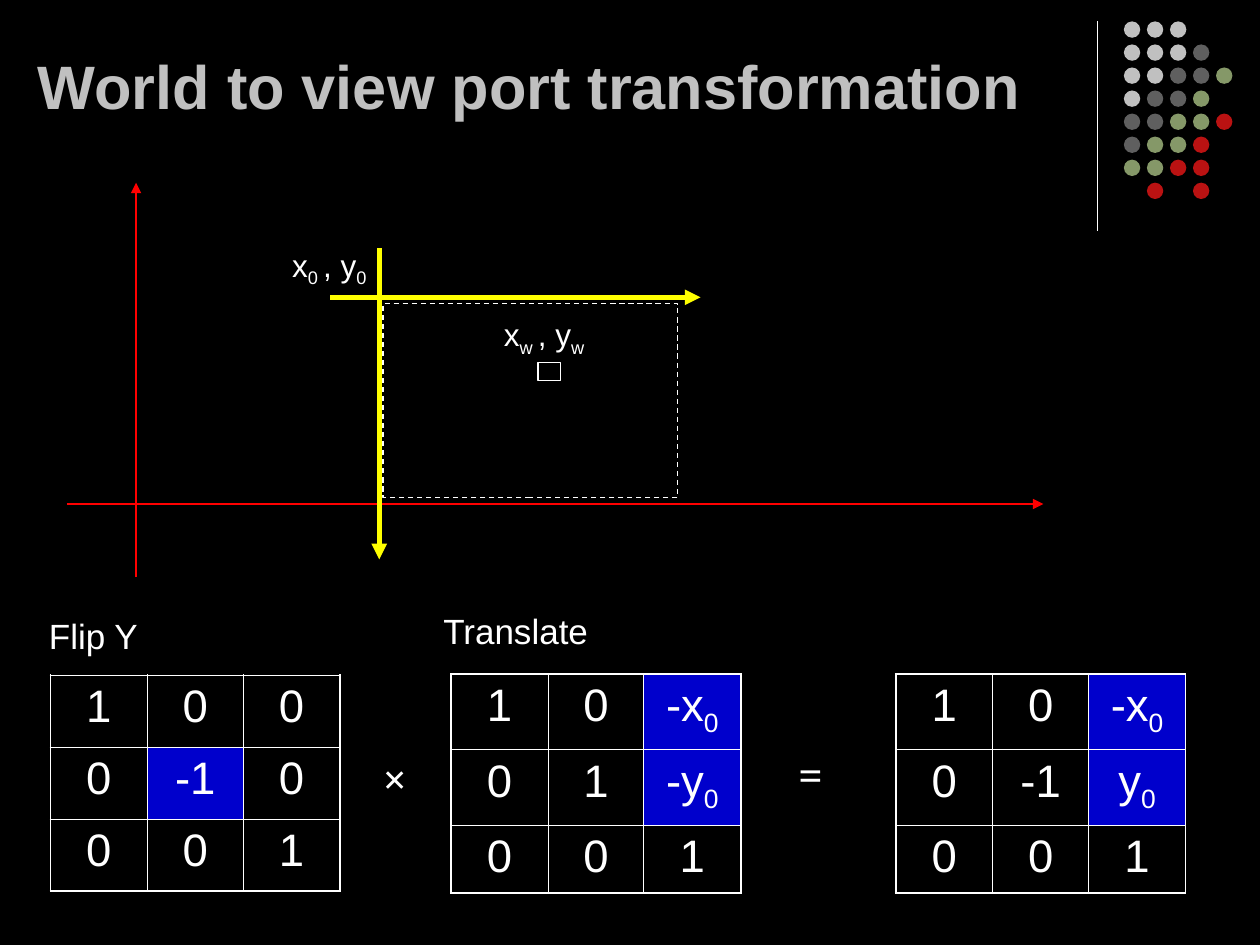
from dataclasses import dataclass

from lxml.etree import SubElement
from pptx import Presentation
from pptx.dml.color import RGBColor
from pptx.enum.dml import MSO_LINE
from pptx.enum.shapes import MSO_CONNECTOR, MSO_SHAPE
from pptx.enum.text import MSO_ANCHOR, MSO_AUTO_SIZE, PP_ALIGN
from pptx.oxml.ns import qn
from pptx.util import Inches, Pt

BLACK = RGBColor(0x00, 0x00, 0x00)
WHITE = RGBColor(0xFF, 0xFF, 0xFF)
SILVER = RGBColor(0xC0, 0xC0, 0xC0)
GRAY = RGBColor(0x5F, 0x5F, 0x5F)
GREEN = RGBColor(0x85, 0x98, 0x68)
DARK_RED = RGBColor(0xBA, 0x12, 0x12)
RED = RGBColor(0xFF, 0x00, 0x00)
YELLOW = RGBColor(0xFF, 0xFF, 0x00)
BLUE = RGBColor(0x00, 0x00, 0xCC)

DOT_COLORS = {"S": SILVER, "G": GRAY, "V": GREEN, "R": DARK_RED}
DOT_ROWS = ["SSS", "SSSG", "SSGGV", "SGGV", "GGVVR", "GVVR", "VVRR", " R R"]
DOT_LEFT, DOT_TOP, DOT_SIZE = 8.92, 0.17, 0.13
DOT_PITCH = 1.28 / 7

COL_WIDTHS = (0.77, 0.76, 0.77)
OUTER, INNER = 1.08, 0.45  # border widths in points


@dataclass
class Line:
    start: tuple[float, float]
    end: tuple[float, float]
    color: RGBColor
    width: float = 0.75
    arrow: bool = True


@dataclass
class Label:
    box: tuple[float, float, float, float]
    text: str
    size: float
    font: str = "Arial"
    bold: bool = False


@dataclass
class Matrix:
    left: float
    top: float
    row_heights: tuple[float, ...]
    rows: list[list[str]]
    marked: set[tuple[int, int]]


LINES = [
    Line((8.71, 0.17), (8.71, 1.83), WHITE, arrow=False),
    Line((1.08, 4.58), (1.08, 1.45), RED),
    Line((0.53, 4), (8.28, 4), RED),
    Line((3.01, 1.97), (3.01, 4.44), YELLOW, 3),
    Line((2.62, 2.36), (5.56, 2.36), YELLOW, 3),
]

# A bar switches between normal text and subscript.
LABELS = [
    Label((2.22, 1.9, 1.12, 0.44), "x|0 |, y|0", 18),
    Label((3.9, 2.45, 1.12, 0.44), "x|w |, y|w", 18),
    Label((3.42, 4.79, 3.07, 0.44), "Translate", 20),
    Label((0.29, 4.83, 2.34, 0.44), "Flip Y", 20),
    Label((2.94, 5.92, 0.45, 0.5), "×", 24, "Times New Roman", True),
    Label((6.24, 5.89, 0.45, 0.5), "=", 24, "Times New Roman", True),
]

MATRICES = [
    Matrix(0.4, 5.36, (0.57, 0.57, 0.57),
           [["1", "0", "0"], ["0", "-1", "0"], ["0", "0", "1"]], {(1, 1)}),
    Matrix(3.58, 5.35, (0.6, 0.6, 0.54),
           [["1", "0", "-x|0"], ["0", "1", "-y|0"], ["0", "0", "1"]],
           {(0, 2), (1, 2)}),
    Matrix(7.11, 5.35, (0.6, 0.6, 0.54),
           [["1", "0", "-x|0"], ["0", "-1", "y|0"], ["0", "0", "1"]],
           {(0, 2), (1, 2)}),
]


def write_text(tf, text: str, *, size: float, font: str = "Arial",
               color: RGBColor = WHITE, bold: bool = False,
               align=PP_ALIGN.LEFT) -> None:
    p = tf.paragraphs[0]
    p.alignment = align
    for i, part in enumerate(text.split("|")):
        r = p.add_run()
        r.text = part
        r.font.size, r.font.name, r.font.bold = Pt(size), font, bold
        r.font.color.rgb = color
        if i % 2:
            r.font._element.set("baseline", "-25000")


def add_shape(slide, kind, box, *, fill=None, line=None, dash=None):
    sp = slide.shapes.add_shape(kind, *map(Inches, box))
    sp.shadow.inherit = False
    if fill is None:
        sp.fill.background()
    else:
        sp.fill.solid()
        sp.fill.fore_color.rgb = fill
    if line is None:
        sp.line.fill.background()
    else:
        sp.line.color.rgb = line
        sp.line.width = Pt(0.75)
        if dash is not None:
            sp.line.dash_style = dash
    return sp


def add_line(slide, line: Line) -> None:
    cx = slide.shapes.add_connector(
        MSO_CONNECTOR.STRAIGHT, *map(Inches, (*line.start, *line.end)))
    cx.line.color.rgb = line.color
    cx.line.width = Pt(line.width)
    if line.arrow:
        SubElement(cx.line._get_or_add_ln(), qn("a:tailEnd"), type="triangle")
    SubElement(cx._element.spPr, qn("a:effectLst"))


def add_label(slide, label: Label) -> None:
    tf = slide.shapes.add_textbox(*map(Inches, label.box)).text_frame
    tf.word_wrap = True
    write_text(tf, label.text, size=label.size, font=label.font,
               bold=label.bold)


def set_borders(cell, row: int, col: int, last: int) -> None:
    """Draw heavier lines along the edge of the matrix."""
    tc_pr = cell._tc.get_or_add_tcPr()
    edges = {"L": col == 0, "R": col == last, "T": row == 0, "B": row == last}
    for side, outer in edges.items():
        width = Pt(OUTER if outer else INNER)
        ln = SubElement(tc_pr, qn(f"a:ln{side}"), w=str(width))
        fill = SubElement(ln, qn("a:solidFill"))
        SubElement(fill, qn("a:srgbClr"), val=str(WHITE))


def add_matrix(slide, matrix: Matrix) -> None:
    n = len(matrix.rows)
    table = slide.shapes.add_table(
        n, n, Inches(matrix.left), Inches(matrix.top),
        Inches(sum(COL_WIDTHS)), Inches(sum(matrix.row_heights))).table
    table.first_row = table.horz_banding = False
    for column, width in zip(table.columns, COL_WIDTHS):
        column.width = Inches(width)
    for i, (row, height) in enumerate(zip(matrix.rows, matrix.row_heights)):
        table.rows[i].height = Inches(height)
        for j, text in enumerate(row):
            cell = table.cell(i, j)
            set_borders(cell, i, j, n - 1)
            cell.fill.solid()
            cell.fill.fore_color.rgb = BLUE if (i, j) in matrix.marked else BLACK
            write_text(cell.text_frame, text, size=26, align=PP_ALIGN.CENTER)


def add_title(slide, text: str) -> None:
    title = slide.shapes.title
    title.left, title.top = Inches(0.2), Inches(0.13)
    title.width, title.height = Inches(8.25), Inches(0.89)
    tf = title.text_frame
    tf.auto_size = MSO_AUTO_SIZE.NONE
    tf.vertical_anchor = MSO_ANCHOR.BOTTOM
    write_text(tf, text, size=35, color=SILVER, bold=True)


def add_dots(slide) -> None:
    for i, row in enumerate(DOT_ROWS):
        for j, key in enumerate(row):
            if key in DOT_COLORS:
                box = (DOT_LEFT + j * DOT_PITCH, DOT_TOP + i * DOT_PITCH,
                       DOT_SIZE, DOT_SIZE)
                add_shape(slide, MSO_SHAPE.OVAL, box, fill=DOT_COLORS[key])


def main() -> None:
    prs = Presentation()
    prs.slide_width, prs.slide_height = Inches(10), Inches(7.5)
    slide = prs.slides.add_slide(prs.slide_layouts[5])
    slide.background.fill.solid()
    slide.background.fill.fore_color.rgb = BLACK

    add_title(slide, "World to view port transformation")
    add_dots(slide)
    add_shape(slide, MSO_SHAPE.RECTANGLE, (3.04, 2.41, 2.34, 1.54),
              line=WHITE, dash=MSO_LINE.DASH)
    for line in LINES:
        add_line(slide, line)
    add_shape(slide, MSO_SHAPE.RECTANGLE, (4.27, 2.88, 0.18, 0.14), line=WHITE)
    for label in LABELS:
        add_label(slide, label)
    for matrix in MATRICES:
        add_matrix(slide, matrix)
    prs.save("out.pptx")


if __name__ == "__main__":
    main()
